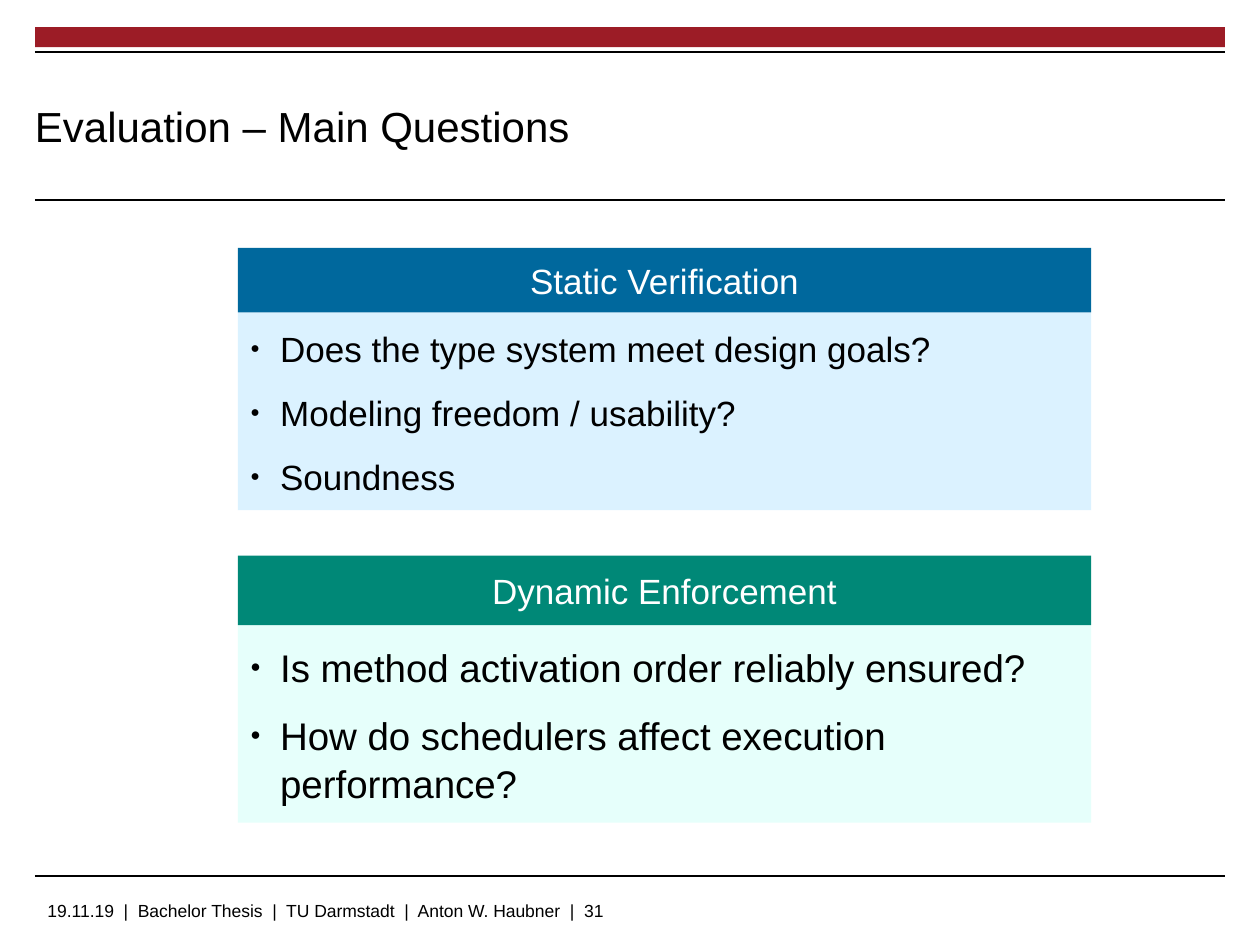
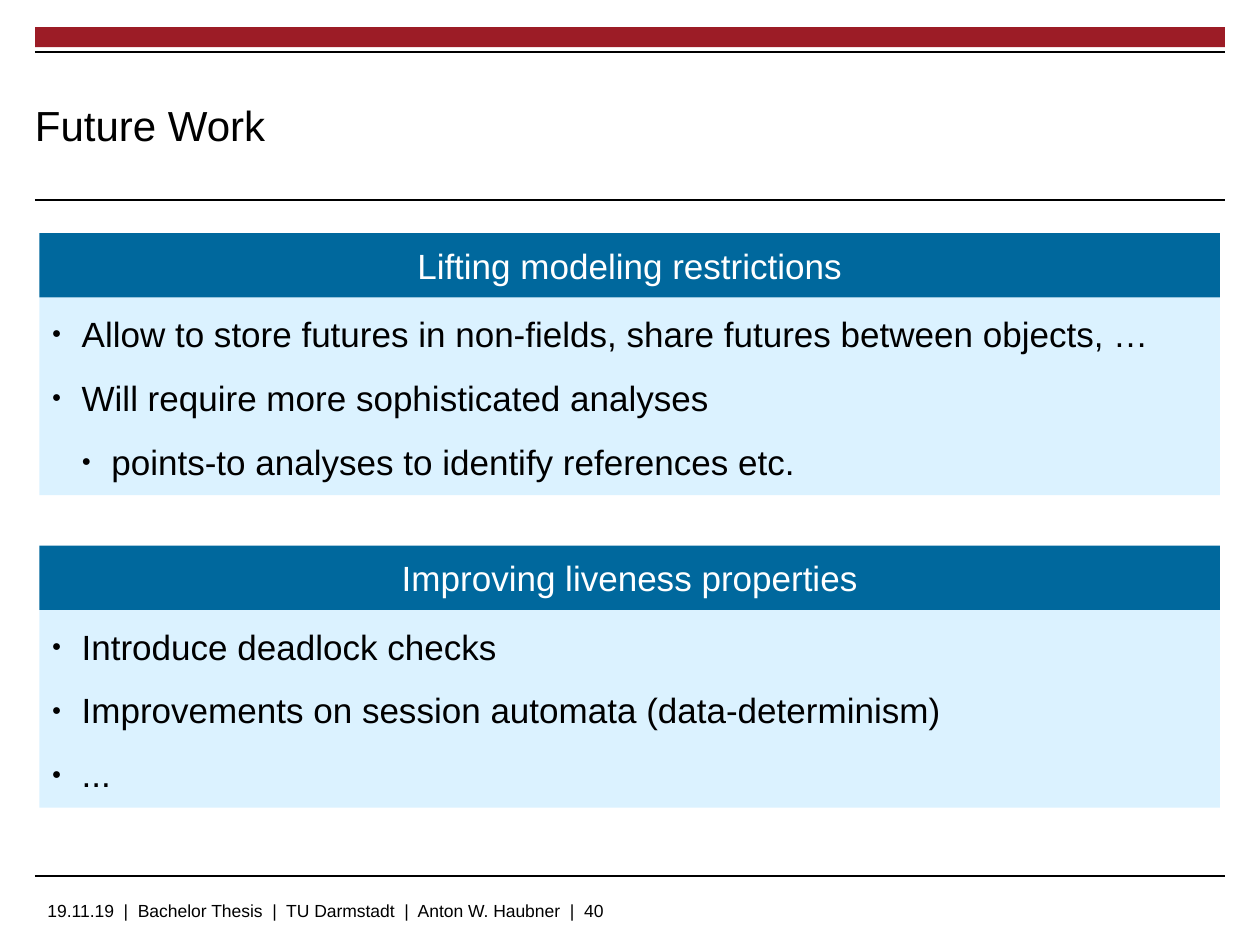
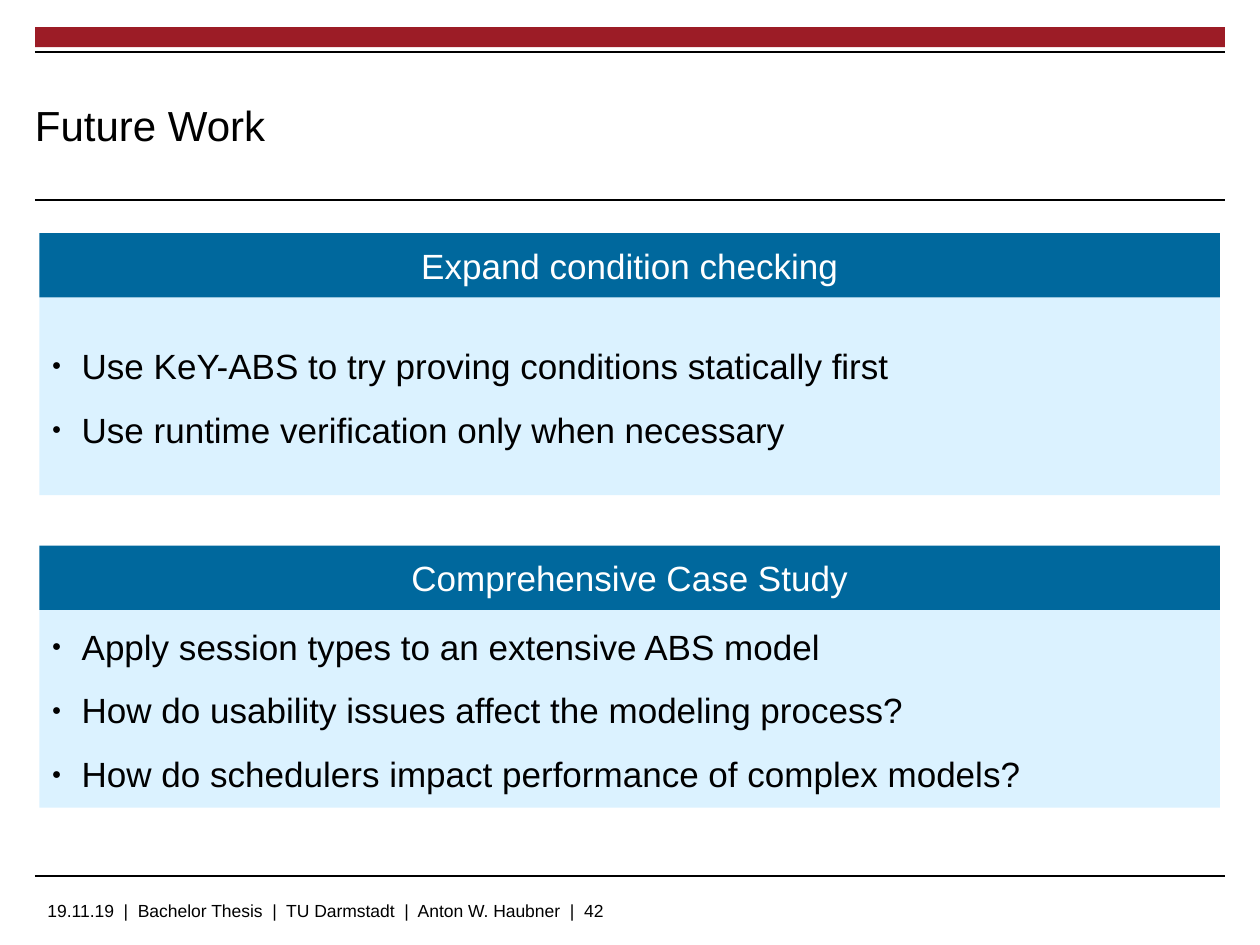
from lxml import etree
from pptx import Presentation
from pptx.dml.color import RGBColor
from pptx.enum.shapes import MSO_CONNECTOR, MSO_SHAPE
from pptx.enum.text import MSO_ANCHOR, PP_ALIGN
from pptx.oxml.ns import qn
from pptx.util import Pt

RECTANGLE = MSO_SHAPE.RECTANGLE
STRAIGHT = MSO_CONNECTOR.STRAIGHT
MIDDLE = MSO_ANCHOR.MIDDLE
LEFT, CENTER = PP_ALIGN.LEFT, PP_ALIGN.CENTER

BLACK, WHITE, RED = "000000", "FFFFFF", "9C1C26"
BLUE, PALE_BLUE = "00689D", "DBF2FF"
GREEN, PALE_GREEN = "008877", "E6FFFB"

FOOTER = "19.11.19  |  Bachelor Thesis  |  TU Darmstadt  |  Anton W. Haubner  |  "
PANEL_BODY_HEIGHT = 113


def color(value):
    return RGBColor.from_string(value)


class Deck:
    """Holds the shared style and the slide being built."""

    font = "Arial"
    margin, right = 20, 700
    rules = (29.5, 114.3, 500.5)
    indent = 17

    def __init__(self):
        self.presentation = Presentation()
        self.presentation.slide_width = Pt(720)
        self.presentation.slide_height = Pt(540)
        self.slide = None

    def add_slide(self, title, number, title_top=35.5):
        layout = self.presentation.slide_layouts[6]
        self.slide = self.presentation.slides.add_slide(layout)
        # Top band, rules, footer and title
        self.rectangle(self.margin, 15.5, self.right - self.margin, 11.5, RED)
        for top in self.rules:
            self.rule(top)
        self.text_box(self.margin, 511, 575, 18, f"{FOOTER}{number}", 10)
        self.text_box(self.margin, title_top, 523, 72, title, 24, inset=0)

    def rectangle(self, left, top, width, height, fill):
        shape = self.slide.shapes.add_shape(
            RECTANGLE, Pt(left), Pt(top), Pt(width), Pt(height))
        shape.shadow.inherit = False
        shape.fill.solid()
        shape.fill.fore_color.rgb = color(fill)
        shape.line.fill.background()
        return shape

    def rule(self, top):
        line = self.slide.shapes.add_connector(
            STRAIGHT, Pt(self.margin), Pt(top), Pt(self.right), Pt(top))
        line.line.color.rgb = color(BLACK)
        line.line.width = Pt(1.13)
        etree.SubElement(line.element.spPr, qn("a:effectLst"))

    def text_box(self, left, top, width, height, text, size, inset=7.2):
        box = self.slide.shapes.add_textbox(
            Pt(left), Pt(top), Pt(width), Pt(height))
        frame = self.prepare(box)
        frame.margin_left = frame.margin_right = Pt(inset)
        frame.margin_top = frame.margin_bottom = Pt(inset / 2)
        self.run(frame.paragraphs[0], text, size)

    def prepare(self, shape):
        frame = shape.text_frame
        frame.word_wrap = True
        frame.vertical_anchor = MIDDLE
        return frame

    def run(self, paragraph, text, size, text_color=BLACK, align=LEFT):
        paragraph.alignment = align
        run = paragraph.add_run()
        run.text = text
        run.font.name = self.font
        run.font.size = Pt(size)
        run.font.color.rgb = color(text_color)

    def bullet(self, paragraph, level):
        paragraph.level = level
        properties = paragraph._p.get_or_add_pPr()
        properties.set("marL", str(Pt(self.indent * (level + 1))))
        properties.set("indent", str(-Pt(self.indent)))
        bullet_color = etree.SubElement(properties, qn("a:buClr"))
        etree.SubElement(bullet_color, qn("a:srgbClr"), val=BLACK)
        etree.SubElement(properties, qn("a:buSzPct"), val="45000")
        etree.SubElement(properties, qn("a:buFont"), typeface=self.font)
        etree.SubElement(properties, qn("a:buChar"), char="●")

    def panel(self, left, top, width, heading, items, size=20,
              head_height=36.8, head_fill=BLUE, body_fill=PALE_BLUE):
        """Draw a heading bar above a bulleted body; items are (text, level)."""
        body = self.rectangle(
            left, top + head_height, width, PANEL_BODY_HEIGHT, body_fill)
        frame = self.prepare(body)
        for index, (text, level) in enumerate(items):
            paragraph = frame.add_paragraph() if index else frame.paragraphs[0]
            self.bullet(paragraph, level)
            paragraph.line_spacing = 1.05
            if index:
                paragraph.space_before = Pt(11.3)
            self.run(paragraph, text, size)
        head = self.rectangle(left, top, width, head_height, head_fill)
        paragraph = self.prepare(head).paragraphs[0]
        self.run(paragraph, heading, 20, WHITE, CENTER)


def add_evaluation(deck):
    left, width = 136, 487.5
    deck.add_slide("Evaluation – Main Questions", 31, title_top=36)
    deck.panel(left, 141.7, width, "Static Verification", [
        ("Does the type system meet design goals?", 0),
        ("Modeling freedom / usability?", 0),
        ("Soundness", 0),
    ])
    deck.panel(left, 317.5, width, "Dynamic Enforcement", [
        ("Is method activation order reliably ensured?", 0),
        ("How do schedulers affect execution performance?", 0),
    ], size=22, head_height=39.7, head_fill=GREEN, body_fill=PALE_GREEN)


def add_future_work(deck, number, panels):
    deck.add_slide("Future Work", number)
    for index, (heading, items) in enumerate(panels):
        deck.panel(22.6, 133.2 + 178.6 * index, 674.6, heading, items)


def main():
    deck = Deck()
    add_evaluation(deck)
    add_future_work(deck, 40, [
        ("Lifting modeling restrictions", [
            ("Allow to store futures in non-fields, "
             "share futures between objects, …", 0),
            ("Will require more sophisticated analyses", 0),
            ("points-to analyses to identify references etc.", 1),
        ]),
        ("Improving liveness properties", [
            ("Introduce deadlock checks", 0),
            ("Improvements on session automata (data-determinism)", 0),
            ("...", 0),
        ]),
    ])
    add_future_work(deck, 42, [
        ("Expand condition checking", [
            ("Use KeY-ABS to try proving conditions statically first", 0),
            ("Use runtime verification only when necessary", 0),
        ]),
        ("Comprehensive Case Study", [
            ("Apply session types to an extensive ABS model", 0),
            ("How do usability issues affect the modeling process?", 0),
            ("How do schedulers impact performance of complex models?", 0),
        ]),
    ])
    deck.presentation.save("out.pptx")


if __name__ == "__main__":
    main()
